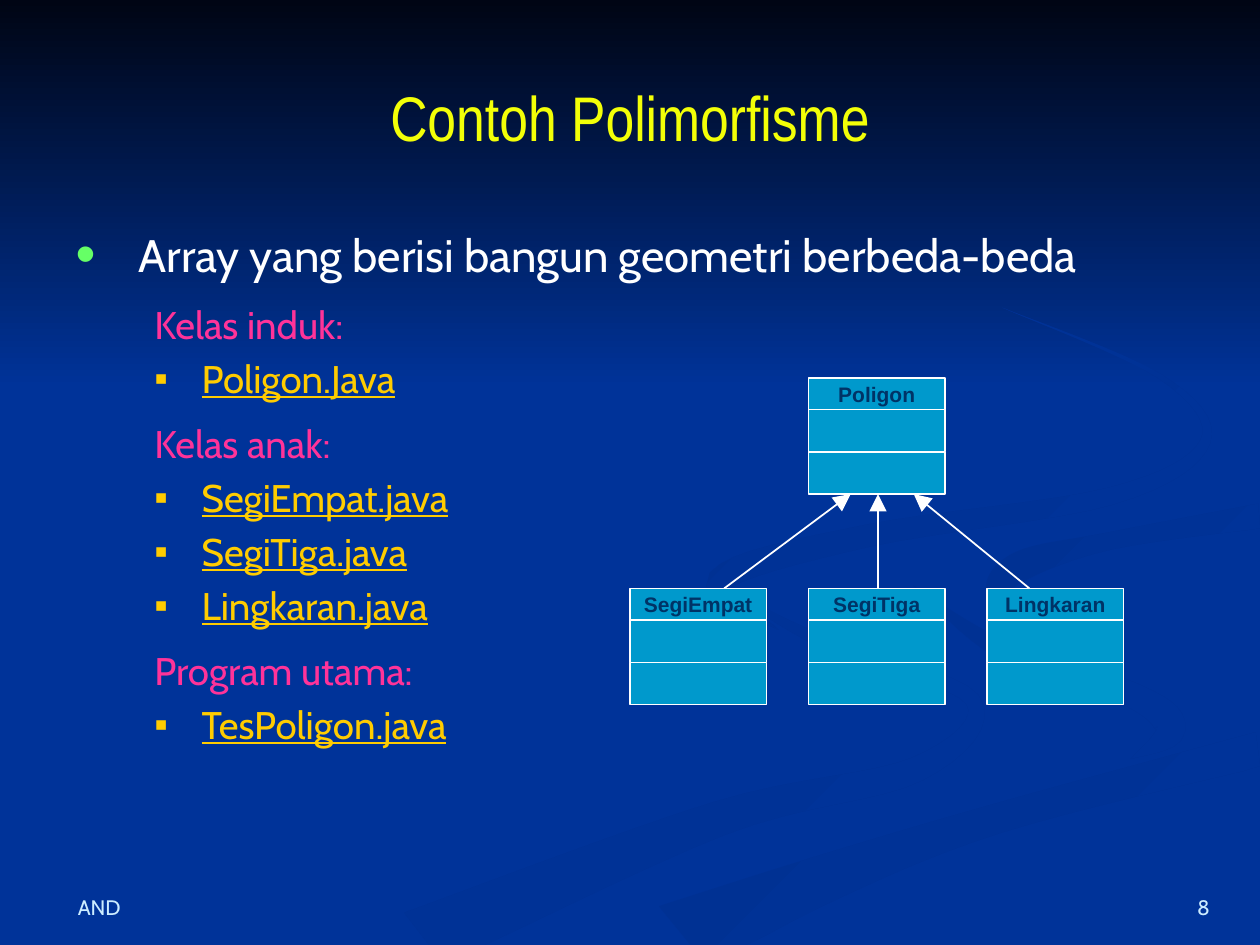
"""Build the slide on a polymorphism example with its class diagram."""
import math

from lxml import etree
from pptx import Presentation
from pptx import util as u
from pptx.dml.color import RGBColor
from pptx.enum import shapes, text
from pptx.oxml import ns

NAVY = RGBColor(0x00, 0x05, 0x14)
BLUE = RGBColor(0x00, 0x33, 0x99)
DEEP = RGBColor(0x00, 0x31, 0x93)
TEAL = RGBColor(0x00, 0x99, 0xCC)
INK = RGBColor(0x00, 0x33, 0x66)
WHITE = RGBColor(0xFF, 0xFF, 0xFF)
PALE = RGBColor(0xCC, 0xEC, 0xFF)
LEMON = RGBColor(0xF3, 0xFF, 0x07)
GREEN = RGBColor(0x66, 0xFF, 0x66)
PINK = RGBColor(0xFF, 0x33, 0x99)
GOLD = RGBColor(0xFF, 0xCC, 0x00)

TITLE = "Contoh Polimorfisme"
LEAD = "Array yang berisi bangun geometri berbeda-beda"
GROUPS = [
    ("Kelas induk:", ["Poligon.Java"]),
    ("Kelas anak:", ["SegiEmpat.java", "SegiTiga.java", "Lingkaran.java"]),
    ("Program utama:", ["TesPoligon.java"]),
]
BASE = "Poligon"
KIDS = [
    {"name": "SegiEmpat", "tail": 14.6, "head": 17.15},
    {"name": "SegiTiga", "tail": 17.7, "head": 17.7},
    {"name": "Lingkaran", "tail": 20.75, "head": 18.42},
]
NOTES = [
    ("AND", 1.32, 6.93, text.PP_ALIGN.LEFT),
    ("8", 22.89, 1.75, text.PP_ALIGN.RIGHT),
]

WIDTH, HEIGHT, SKY = 25.4, 19.05, 7.82
MARGIN = 1.27
INNER = WIDTH - 2 * MARGIN
LEFT, TOP, LOW = 12.7, 7.62, 11.86
BOX, STEP = 2.75, 3.6
ROWS = [0.64, 0.85, 0.85]

SPINES = {
    "ribbon": [(14.5, 11.8, 0), (16.6, 12.95, 0.25), (19.6, 14.1, 0.3),
               (18.5, 15.5, 0.5), (14.5, 16.5, 0.7), (8.4, 19, 1.3)],
    "curl": [(18.4, 11.8, 0), (20.2, 13.1, 0.4), (22.8, 14, 0.5),
             (23.6, 14.7, 0.6), (22.8, 15.3, 0)],
    "stream": [(13.6, 19, 1.6), (16.4, 17.8, 1), (20.1, 16.5, 0.6), (25.4, 15.1, 0.7)],
    "spur": [(20.9, 12.6, 0), (20.1, 12, 0.4), (20.6, 11.4, 0.6),
             (22.4, 10.9, 0.35), (25.4, 10.4, 0.5)],
    "loop": [(20.2, 6.2, 0), (23.4, 7.6, 0.1), (24.3, 8.9, 0.2), (22.4, 10, 0.35),
             (17.5, 10.8, 0.45), (14.5, 11.7, 0.5), (15.7, 12.7, 0)],
}


def node(root, tag, **attrs):
    return etree.SubElement(root, ns.qn(tag), attrs)


def place(shape, box):
    shape.left, shape.top, shape.width, shape.height = map(u.Cm, box)


def write(para, words, size, hue, face="Cabin", bold=False, under=False):
    run = para.add_run()
    run.text = words
    font = run.font
    font.name, font.size, font.bold = face, u.Pt(size), bold
    font.underline = under
    font.color.rgb = hue


def indent(para, left, hang, mark=None, hue=None, scale=100):
    props = para._p.get_or_add_pPr()
    props.set("marL", str(u.Cm(left)))
    props.set("indent", str(-u.Cm(hang)))
    if mark is None:
        node(props, "a:buNone")
        return
    node(node(props, "a:buClr"), "a:srgbClr", val=str(hue))
    node(props, "a:buSzPct", val=str(scale * 1000))
    node(props, "a:buFont", typeface="Arial")
    node(props, "a:buChar", char=mark)


def blend(a, b, c, d, t):
    """Return the Catmull-Rom value between b and c."""
    return b + t / 2 * (c - a + t * (2 * a - 5 * b + 4 * c - d + t * (3 * (b - c) + d - a)))


def smooth(knots, parts=8):
    """Pass a smooth curve through the knots."""
    ends = [knots[0], *knots, knots[-1]]
    curve = [
        tuple(blend(*axis, part / parts) for axis in zip(*ends[at:at + 4]))
        for at in range(len(knots) - 1) for part in range(parts)
    ]
    return [*curve, knots[-1]]


def outline(knots):
    """Widen a spine of x, y and thickness into a closed band on the slide."""
    curve = smooth(knots)
    upper, lower = [], []
    for at, (x, y, thick) in enumerate(curve):
        back, ahead = curve[max(at - 1, 0)], curve[min(at + 1, len(curve) - 1)]
        angle = math.atan2(ahead[1] - back[1], ahead[0] - back[0])
        for side, sign in ((upper, 0.5), (lower, -0.5)):
            across = x + sign * thick * math.sin(angle)
            down = y - sign * thick * math.cos(angle)
            side.append((min(across, WIDTH), min(down, HEIGHT)))
    return upper + lower[::-1]


def shade(shape, start, end, angle):
    shape.shadow.inherit = False
    shape.line.fill.background()
    shape.fill.gradient()
    shape.fill.gradient_angle = angle
    for stop, hue in zip(shape.fill.gradient_stops, (start, end)):
        stop.color.rgb = hue


def draw_back(slide):
    slide.background.fill.solid()
    slide.background.fill.fore_color.rgb = BLUE
    box = map(u.Cm, (0, 0, WIDTH, SKY))
    sky = slide.shapes.add_shape(shapes.MSO_SHAPE.RECTANGLE, *box)
    shade(sky, NAVY, BLUE, 270)
    for knots in SPINES.values():
        first, *rest = [(u.Cm(x), u.Cm(y)) for x, y in outline(knots)]
        form = slide.shapes.build_freeform(*first)
        form.add_line_segments(rest, close=True)
        shade(form.convert_to_shape(), DEEP, BLUE, 315)


def fill_title(title):
    place(title, (MARGIN, 0.76, INNER, 3.18))
    title.text_frame.vertical_anchor = text.MSO_ANCHOR.MIDDLE
    para = title.text_frame.paragraphs[0]
    para.alignment = text.PP_ALIGN.CENTER
    write(para, TITLE, 36, LEMON, "Arial Narrow")


def fill_body(body):
    place(body, (MARGIN, 4.45, INNER, 12.5))
    frame = body.text_frame
    frame.auto_size = text.MSO_AUTO_SIZE.NONE
    para = frame.paragraphs[0]
    para.space_before = u.Pt(5.2)
    indent(para, 1.27, 1.27, "•", GREEN, 125)
    write(para, LEAD, 26, WHITE)
    for head, files in GROUPS:
        for item in [head, *files]:
            top = item is head
            para = frame.add_paragraph()
            para.level = 1
            para.space_before = u.Pt(11 if top else 4.4)
            indent(para, 2.54, 0.95, None if top else "▪", GOLD)
            write(para, item, 22, PINK if top else GOLD, under=not top)


def draw_class(slide, name, col, top):
    for row, high in enumerate(ROWS):
        box = map(u.Cm, (LEFT + col * STEP, top + sum(ROWS[:row]), BOX, high))
        cell = slide.shapes.add_shape(shapes.MSO_SHAPE.RECTANGLE, *box)
        cell.shadow.inherit = False
        cell.fill.solid()
        cell.fill.fore_color.rgb = TEAL
        cell.line.color.rgb = WHITE
        cell.line.width = u.Pt(0.75)
        if row == 0:
            frame = cell.text_frame
            frame.margin_top = frame.margin_bottom = 0
            frame.word_wrap = False
            frame.vertical_anchor = text.MSO_ANCHOR.MIDDLE
            para = frame.paragraphs[0]
            para.alignment = text.PP_ALIGN.CENTER
            write(para, name, 12, INK, "Arial", bold=True)


def draw_link(slide, tail, head):
    ends = map(u.Cm, (tail, LOW, head, TOP + sum(ROWS)))
    link = slide.shapes.add_connector(shapes.MSO_CONNECTOR.STRAIGHT, *ends)
    link.line.color.rgb = WHITE
    link.line.width = u.Pt(1)
    node(link.line._get_or_add_ln(), "a:tailEnd", type="triangle", w="lg", len="lg")
    node(link._element.spPr, "a:effectLst")


def draw_note(slide, words, left, wide, side):
    box = map(u.Cm, (left, 17.35, wide, 1.32))
    frame = slide.shapes.add_textbox(*box).text_frame
    frame.word_wrap = True
    frame.vertical_anchor = text.MSO_ANCHOR.BOTTOM
    frame.paragraphs[0].alignment = side
    write(frame.paragraphs[0], words, 12, PALE)


def main():
    deck = Presentation()
    deck.slide_width, deck.slide_height = u.Cm(WIDTH), u.Cm(HEIGHT)
    slide = deck.slides.add_slide(deck.slide_layouts[1])
    draw_back(slide)
    title, body = slide.placeholders
    for holder, fill in ((title, fill_title), (body, fill_body)):
        slide.shapes._spTree.append(holder._element)
        fill(holder)
    draw_class(slide, BASE, 1, TOP)
    for col, kid in enumerate(KIDS):
        draw_class(slide, kid["name"], col, LOW)
        draw_link(slide, kid["tail"], kid["head"])
    for note in NOTES:
        draw_note(slide, *note)
    deck.save("out.pptx")


if __name__ == "__main__":
    main()
